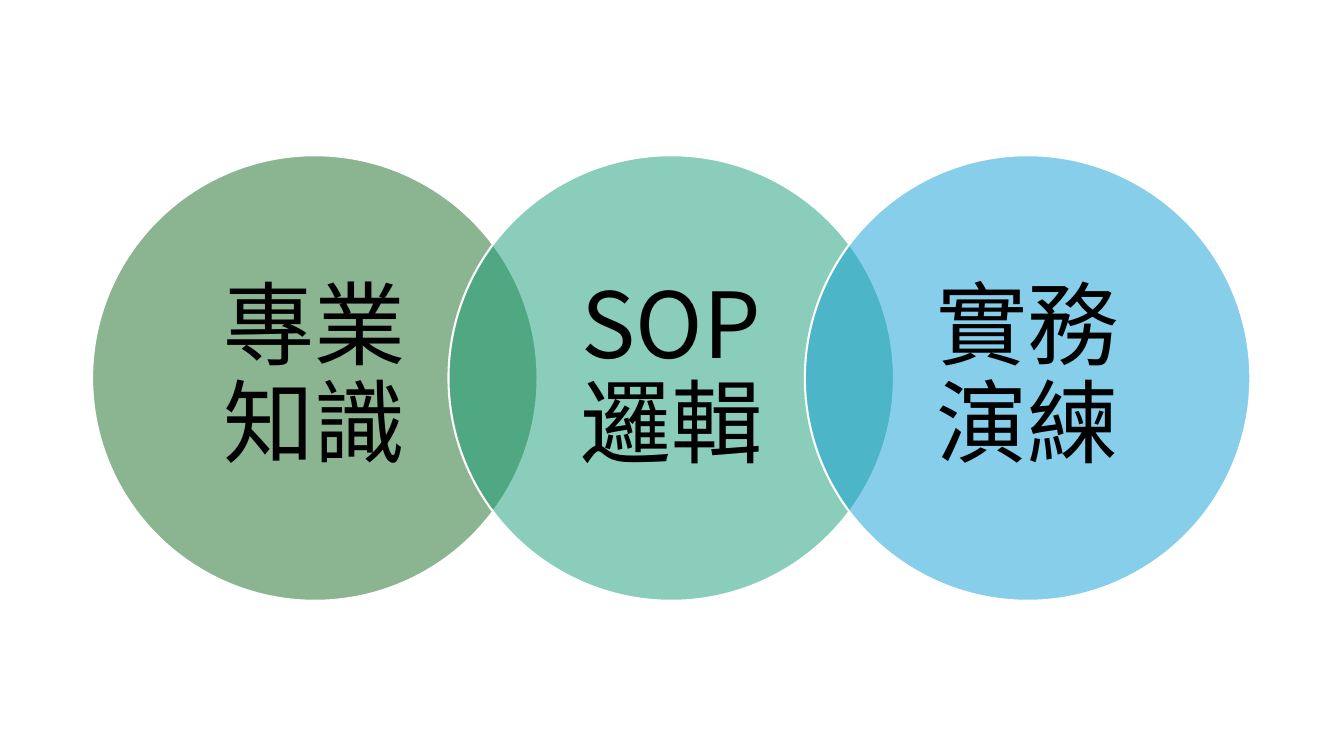
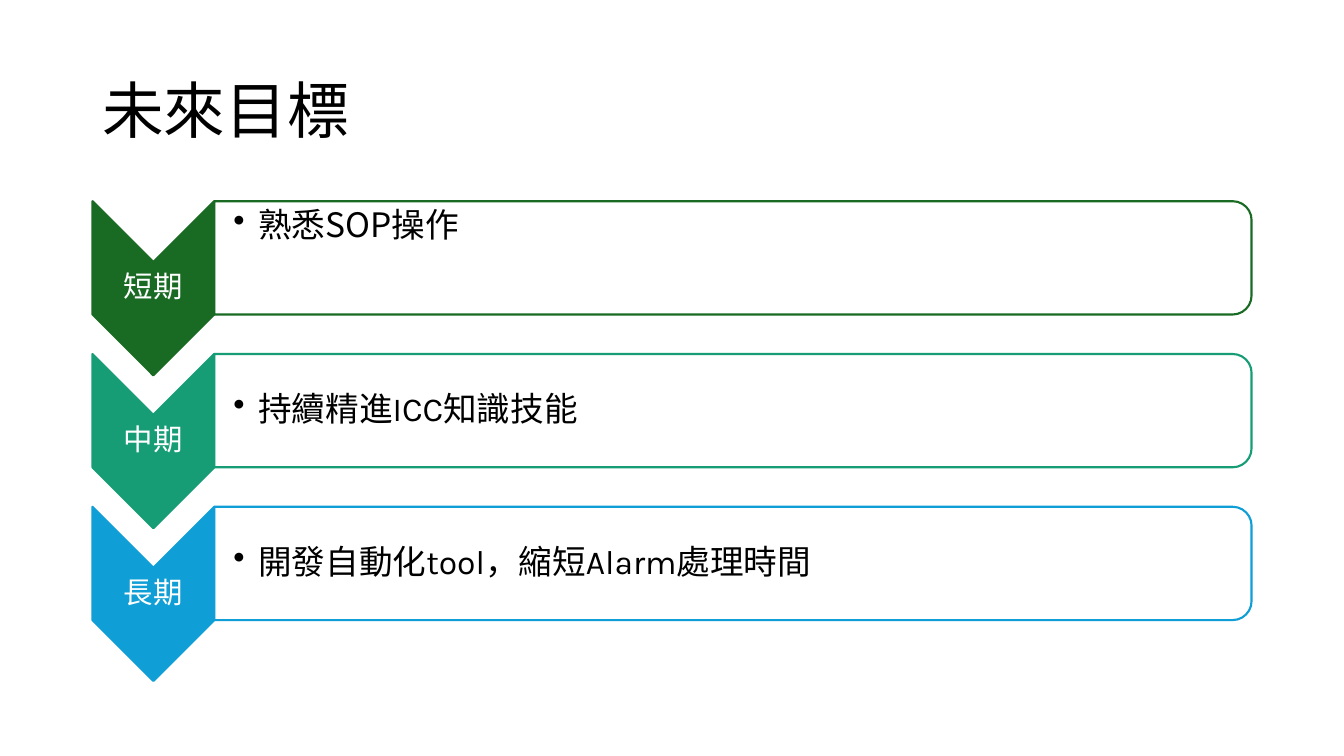
from dataclasses import dataclass

from lxml import etree
from pptx import Presentation
from pptx.dml.color import RGBColor
from pptx.enum.shapes import MSO_SHAPE
from pptx.enum.text import MSO_ANCHOR, PP_ALIGN
from pptx.oxml.ns import qn
from pptx.util import Cm, Pt

OVAL = MSO_SHAPE.OVAL
CHEVRON = MSO_SHAPE.CHEVRON
ROUNDED_END = MSO_SHAPE.ROUND_2_SAME_RECTANGLE
TOP, MIDDLE = MSO_ANCHOR.TOP, MSO_ANCHOR.MIDDLE
LEFT, CENTER = PP_ALIGN.LEFT, PP_ALIGN.CENTER


@dataclass(frozen=True)
class Theme:
    green: str = "196B24"
    teal: str = "179D76"
    blue: str = "0F9ED5"
    white: str = "FFFFFF"
    black: str = "000000"
    latin_font: str = "Karla"
    chinese_font: str = "Noto Sans CJK TC"
    circle_size: int = 65
    title_size: int = 44
    goal_size: int = 24
    label_size: int = 21
    line_width: float = 1.5

    @property
    def accents(self):
        return self.green, self.teal, self.blue


@dataclass(frozen=True)
class Box:
    """A region of a slide, in centimetres."""
    left: float
    top: float
    width: float
    height: float

    def lengths(self):
        return Cm(self.left), Cm(self.top), Cm(self.width), Cm(self.height)

    def turned(self):
        """The box that fills this one after a quarter turn."""
        shift = (self.width - self.height) / 2
        return Box(self.left + shift, self.top - shift, self.height, self.width)


THEME = Theme()
SLIDE_WIDTH, SLIDE_HEIGHT = 33.87, 19.05


# Shared parts
def add_filled_shape(slide, kind, box, fill, line, opacity=100, quarter_turn=False):
    placed = box.turned() if quarter_turn else box
    shape = slide.shapes.add_shape(kind, *placed.lengths())
    shape.rotation = 90 if quarter_turn else 0
    shape.shadow.inherit = False
    shape.fill.solid()
    shape.fill.fore_color.rgb = RGBColor.from_string(fill)
    shape.line.color.rgb = RGBColor.from_string(line)
    shape.line.width = Pt(THEME.line_width)
    if opacity < 100:
        color = shape.fill._xPr.find(qn("a:solidFill"))[0]
        etree.SubElement(color, qn("a:alpha")).set("val", str(opacity * 1000))
    return shape


def set_text(shape, text, size, color, align=CENTER, anchor=MIDDLE,
             margins=(0.03, 0.03, 0.03, 0.03), latin_font=THEME.latin_font):
    frame = shape.text_frame
    frame.word_wrap = True
    frame.vertical_anchor = anchor
    (frame.margin_left, frame.margin_top,
     frame.margin_right, frame.margin_bottom) = map(Cm, margins)
    frame.text = text
    paragraph = frame.paragraphs[0]
    paragraph.alignment = align
    paragraph.line_spacing = 0.9
    font = paragraph.runs[0].font
    font.size = Pt(size)
    font.color.rgb = RGBColor.from_string(color)
    font.name = latin_font
    east_asian = etree.SubElement(font._element, qn("a:ea"))
    east_asian.set("typeface", THEME.chinese_font)
    return paragraph


def add_text(slide, box, *args, **kwargs):
    return set_text(slide.shapes.add_textbox(*box.lengths()), *args, **kwargs)


def add_bullet(paragraph, indent=0.63):
    properties = paragraph._p.get_or_add_pPr()
    properties.set("marL", str(Cm(indent)))
    properties.set("indent", str(-Cm(indent)))
    etree.SubElement(properties, qn("a:buChar")).set("char", "•")


def add_title(slide, box, text):
    add_text(slide, box, text, THEME.title_size, THEME.black, LEFT,
             margins=(0.25, 0.13, 0.25, 0.13))


# Slide 1: a row of overlapping circles
def add_circle_row(slide, box, topics, step_share=0.8):
    diameter = box.width / (1 + step_share * (len(topics) - 1))
    top = box.top + (box.height - diameter) / 2
    for index, (topic, accent) in enumerate(zip(topics, THEME.accents)):
        left = box.left + index * step_share * diameter
        circle = add_filled_shape(slide, OVAL, Box(left, top, diameter, diameter),
                                  accent, THEME.white, opacity=50)
        set_text(circle, topic, THEME.circle_size, THEME.black,
                 margins=(0.61, 0.23, 0.61, 0.23), latin_font=THEME.chinese_font)


# Slide 2: chevrons with a goal beside each
def add_goal_row(slide, box, label, goal, accent, anchor, latin_font):
    chevron_width = 3.07
    tip = chevron_width / 2
    padding = 0.14

    # Chevron and its label
    add_filled_shape(slide, CHEVRON, Box(box.left, box.top, chevron_width, box.height),
                     accent, accent, quarter_turn=True)
    add_text(slide, Box(box.left, box.top + tip, chevron_width, box.height - 2 * tip),
             label, THEME.label_size, THEME.white)

    # Panel and its goal
    panel = Box(box.left + chevron_width, box.top,
                box.width - chevron_width, box.height - tip)
    add_filled_shape(slide, ROUNDED_END, panel, THEME.white, accent,
                     opacity=90, quarter_turn=True)
    goal_box = Box(panel.left, panel.top + padding,
                   panel.width - padding, panel.height - 2 * padding)
    paragraph = add_text(slide, goal_box, goal, THEME.goal_size, THEME.black, LEFT,
                         anchor, (0.48, 0.05, 0.05, 0.05), latin_font)
    add_bullet(paragraph)


def add_goal_list(slide, box, goals, row_height=4.39):
    step = (box.height - row_height) / (len(goals) - 1)
    for index, (goal, accent) in enumerate(zip(goals, THEME.accents)):
        label, text, anchor, latin_font = goal
        row = Box(box.left, box.top + index * step, box.width, row_height)
        add_goal_row(slide, row, label, text, accent, anchor, latin_font)


def main():
    presentation = Presentation()
    presentation.slide_width = Cm(SLIDE_WIDTH)
    presentation.slide_height = Cm(SLIDE_HEIGHT)
    blank = presentation.slide_layouts[6]

    slide = presentation.slides.add_slide(blank)
    add_circle_row(slide, Box(2.32, 3.91, 29.19, 11.23),
                   ("專業知識", "SOP邏輯", "實務演練"))

    slide = presentation.slides.add_slide(blank)
    add_title(slide, Box(2.33, 1.01, 29.21, 3.68), "未來目標")
    add_goal_list(slide, Box(2.33, 5.07, 29.21, 12.09), (
        ("短期", "熟悉SOP操作", TOP, THEME.chinese_font),
        ("中期", "持續精進ICC知識技能", MIDDLE, THEME.latin_font),
        ("長期", "開發自動化tool，縮短Alarm處理時間", MIDDLE, THEME.latin_font),
    ))

    presentation.save("out.pptx")


if __name__ == "__main__":
    main()
